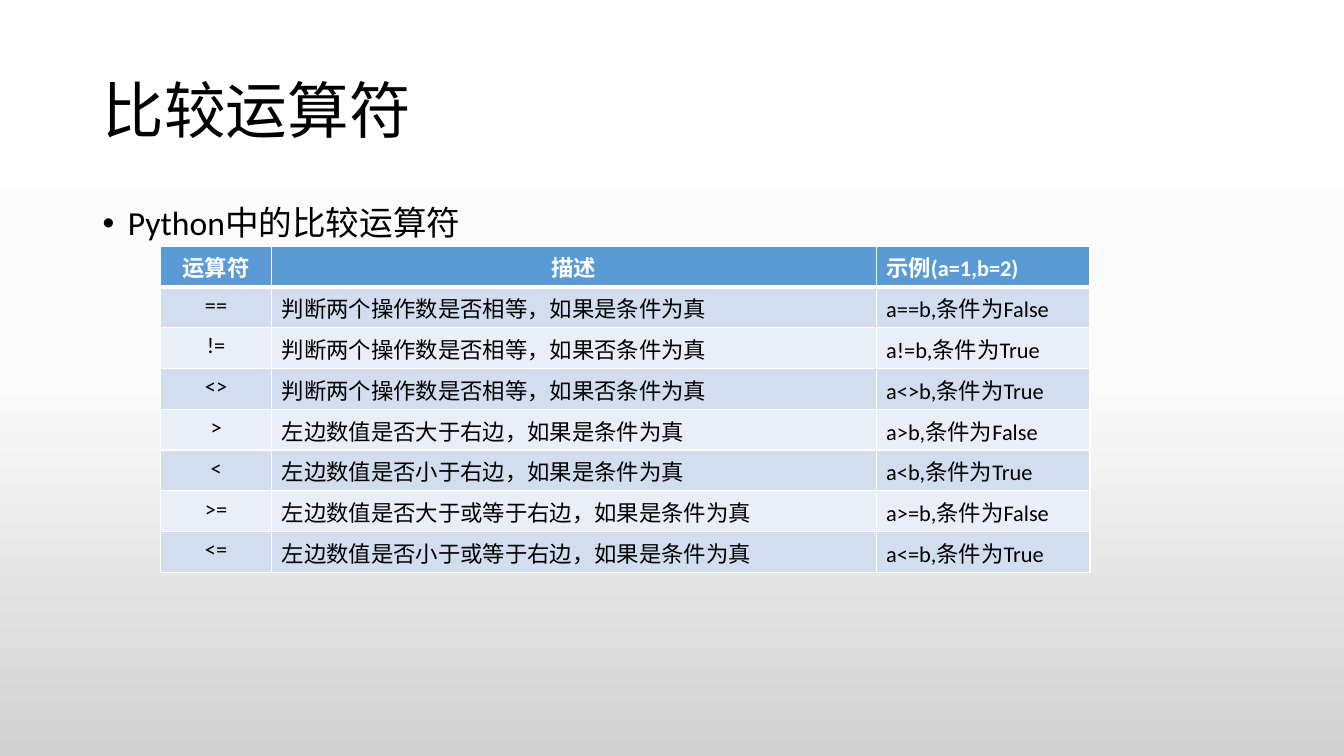
from copy import deepcopy
from dataclasses import dataclass

from lxml.etree import SubElement
from pptx import Presentation
from pptx.dml.color import RGBColor
from pptx.enum.text import MSO_ANCHOR, PP_ALIGN
from pptx.oxml.ns import qn
from pptx.util import Inches, Pt


@dataclass(frozen=True)
class Theme:
    font: str = "Calibri"
    title_size: int = 44
    body_size: int = 24
    table_size: int = 16
    ink: str = "000000"
    light: str = "FFFFFF"
    header: str = "5B9BD5"
    bands: tuple = ("D2DEEF", "EAEFF7")
    backdrop: tuple = ((0, "FFFFFF"), (0.5, "FBFBFB"), (1, "D1D1D1"))


@dataclass(frozen=True)
class Box:
    left: float
    top: float
    width: float
    height: float

    def lengths(self):
        return [Inches(value) for value in (self.left, self.top, self.width, self.height)]


THEME = Theme()
SLIDE_WIDTH, SLIDE_HEIGHT = 13.33, 7.5
COLUMN_SHARES = (0.12, 0.65, 0.23)
HEADINGS = ("运算符", "描述", "示例(a=1,b=2)")
OPERATORS = (
    ("==", "判断两个操作数是否相等，如果是条件为真", "False"),
    ("!=", "判断两个操作数是否相等，如果否条件为真", "True"),
    ("<>", "判断两个操作数是否相等，如果否条件为真", "True"),
    (">", "左边数值是否大于右边，如果是条件为真", "False"),
    ("<", "左边数值是否小于右边，如果是条件为真", "True"),
    (">=", "左边数值是否大于或等于右边，如果是条件为真", "False"),
    ("<=", "左边数值是否小于或等于右边，如果是条件为真", "True"),
)


def share_box(left, top, width, height):
    return Box(left * SLIDE_WIDTH, top * SLIDE_HEIGHT, width * SLIDE_WIDTH, height * SLIDE_HEIGHT)


def style_paragraph(para, size, color, bold=False):
    para.font.name = THEME.font
    para.font.size = Pt(size)
    para.font.bold = bold
    para.font.color.rgb = RGBColor.from_string(color)


def paint_background(page):
    fill = page.background.fill
    fill.gradient()
    fill.gradient_angle = 270
    stop_list = page.element.find(".//" + qn("a:gsLst"))
    stop_list.append(deepcopy(stop_list[-1]))
    for stop, (position, color) in zip(fill.gradient_stops, THEME.backdrop):
        stop.position = position
        stop.color.rgb = RGBColor.from_string(color)


def add_text(page, box, text, size, anchor):
    frame = page.shapes.add_textbox(*box.lengths()).text_frame
    frame.word_wrap = True
    frame.vertical_anchor = anchor
    para = frame.paragraphs[0]
    para.text = text
    para.line_spacing = 0.9
    style_paragraph(para, size, THEME.ink)
    return para


def add_title(page, box):
    add_text(page, box, "比较运算符", THEME.title_size, MSO_ANCHOR.MIDDLE)


def add_body(page, box):
    para = add_text(page, box, "Python中的比较运算符", THEME.body_size, MSO_ANCHOR.TOP)
    para.space_before = Pt(10)
    properties = para.font._element.getparent()
    properties.set("marL", str(Inches(0.25)))
    properties.set("indent", str(Inches(-0.25)))
    bullet_font = properties.makeelement(qn("a:buFont"), {"typeface": "Arial"})
    bullet = properties.makeelement(qn("a:buChar"), {"char": "•"})
    for element in (bullet_font, bullet):
        para.font._element.addprevious(element)


def set_borders(cell, bottom_width):
    properties = cell._tc.get_or_add_tcPr()
    sides = (("lnL", 1), ("lnR", 1), ("lnT", 1), ("lnB", bottom_width))
    for index, (side, width) in enumerate(sides):
        line = properties.makeelement(qn("a:" + side), {"w": str(Pt(width))})
        solid = SubElement(line, qn("a:solidFill"))
        SubElement(solid, qn("a:srgbClr"), val=THEME.light)
        properties.insert(index, line)


def fill_cell(cell, text, row, column):
    is_header = row == 0
    color = THEME.header if is_header else THEME.bands[(row - 1) % 2]
    cell.fill.solid()
    cell.fill.fore_color.rgb = RGBColor.from_string(color)
    para = cell.text_frame.paragraphs[0]
    para.text = text
    is_centered = column == 0 or (is_header and column == 1)
    para.alignment = PP_ALIGN.CENTER if is_centered else PP_ALIGN.LEFT
    style_paragraph(para, THEME.table_size, THEME.light if is_header else THEME.ink, is_header)
    set_borders(cell, 3 if is_header else 1)


def add_operator_table(page, box):
    rows = [HEADINGS] + [
        (symbol, meaning, f"a{symbol}b,条件为{result}") for symbol, meaning, result in OPERATORS
    ]
    table = page.shapes.add_table(len(rows), len(HEADINGS), *box.lengths()).table
    for column, share in zip(table.columns, COLUMN_SHARES):
        column.width = Inches(box.width * share)
    for row, texts in enumerate(rows):
        for column, text in enumerate(texts):
            fill_cell(table.cell(row, column), text, row, column)


def build_operator_slide(deck):
    page = deck.slides.add_slide(deck.slide_layouts[6])
    paint_background(page)
    add_title(page, share_box(0.069, 0.053, 0.863, 0.193))
    add_body(page, share_box(0.069, 0.267, 0.863, 0.635))
    add_operator_table(page, Box(1.59, 2.44, 9.22, 3.24))


def main():
    deck = Presentation()
    deck.slide_width = Inches(SLIDE_WIDTH)
    deck.slide_height = Inches(SLIDE_HEIGHT)
    build_operator_slide(deck)
    deck.save("out.pptx")


if __name__ == "__main__":
    main()
